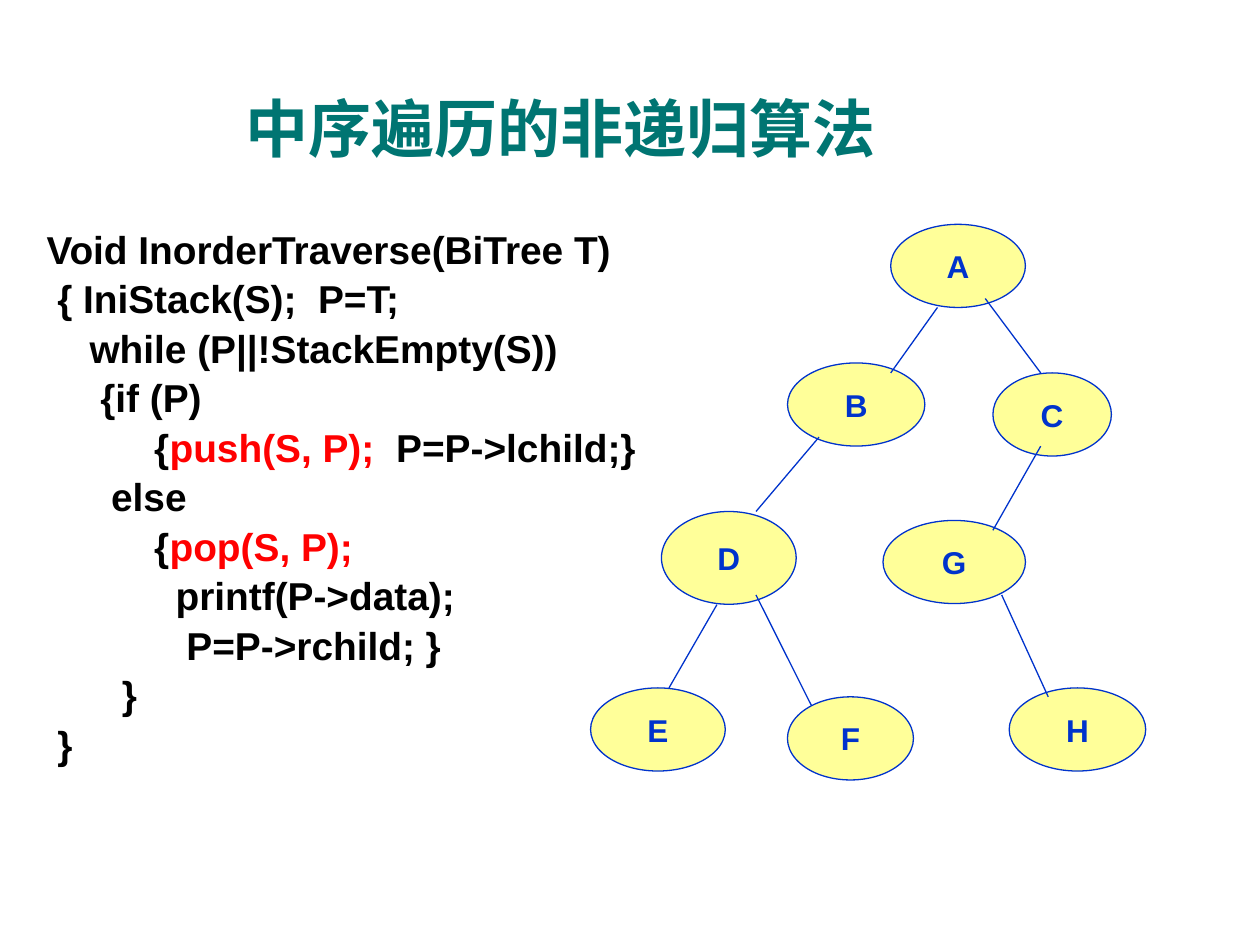
"""Builds the slide on non-recursive inorder traversal of a binary tree."""
from lxml import etree
from pptx import Presentation
from pptx.dml.color import RGBColor
from pptx.enum.shapes import MSO_CONNECTOR, MSO_SHAPE
from pptx.enum.text import MSO_ANCHOR, MSO_AUTO_SIZE, PP_ALIGN
from pptx.oxml.ns import qn
from pptx.util import Pt

ELLIPSE = MSO_SHAPE.OVAL
STRAIGHT = MSO_CONNECTOR.STRAIGHT
MIDDLE, TOP = MSO_ANCHOR.MIDDLE, MSO_ANCHOR.TOP
CENTER, LEFT = PP_ALIGN.CENTER, PP_ALIGN.LEFT
NO_AUTOFIT = MSO_AUTO_SIZE.NONE

TEAL = RGBColor(0x00, 0x75, 0x72)
BLACK = RGBColor(0x00, 0x00, 0x00)
RED = RGBColor(0xFF, 0x00, 0x00)
BLUE = RGBColor(0x00, 0x33, 0xCC)
YELLOW = RGBColor(0xFF, 0xFF, 0x99)

CODE = [
    [("Void InorderTraverse(BiTree T)", BLACK)],
    [(" { IniStack(S);  P=T;", BLACK)],
    [("    while (P||!StackEmpty(S))", BLACK)],
    [("     {if (P)", BLACK)],
    [("          {", BLACK), ("push(S, P);  ", RED), ("P=P->lchild;}", BLACK)],
    [("      else", BLACK)],
    [("          {", BLACK), ("pop(S, P);", RED)],
    [("            printf(P->data);", BLACK)],
    [("             P=P->rchild; }", BLACK)],
    [("       }", BLACK)],
    [(" }", BLACK)],
]

NODE_HEIGHT = 47.5
NODES = [
    ("B", 450, 207.4, 78.5, NODE_HEIGHT),
    ("H", 576.7, 393.1, 78, NODE_HEIGHT),
    ("A", 509, 128.2, 77, NODE_HEIGHT),
    ("C", 567.4, 213.1, 67.7, NODE_HEIGHT),
    ("D", 378, 292.3, 77, 53),
    ("E", 337.5, 393.1, 77, NODE_HEIGHT),
    ("F", 450, 398.2, 72, NODE_HEIGHT),
    ("G", 504.6, 297.4, 81.4, NODE_HEIGHT),
]

BRANCHES = [
    (535.7, 175.7, 509, 213.1),
    (563, 170.6, 594.7, 213.1),
    (468, 249.8, 432, 292.3),
    (594.7, 255, 567.4, 303),
    (409.7, 345.5, 382.3, 393.1),
    (432, 340, 463.7, 403.2),
    (572.4, 340, 599, 398.2),
]


class TreeSlide:
    """Holds the style and the current slide."""

    font_name = "Arial"
    line_width = Pt(0.75)

    def __init__(self, deck):
        self.slide = deck.slides.add_slide(deck.slide_layouts[5])
        self.shapes = self.slide.shapes

    def run(self, paragraph, text, size, color):
        run = paragraph.add_run()
        run.text = text
        run.font.name = self.font_name
        run.font.size = Pt(size)
        run.font.bold = True
        run.font.color.rgb = color

    def title(self, text, left, top, width, height):
        heading = self.shapes.title
        heading.left, heading.top = Pt(left), Pt(top)
        heading.width, heading.height = Pt(width), Pt(height)
        frame = heading.text_frame
        frame.auto_size = NO_AUTOFIT
        frame.vertical_anchor = MIDDLE
        paragraph = frame.paragraphs[0]
        paragraph.alignment = CENTER
        self.run(paragraph, text, 36, TEAL)

    def code(self, lines, left, top, width, height):
        listing = self.shapes.add_textbox(Pt(left), Pt(top), Pt(width), Pt(height))
        frame = listing.text_frame
        frame.word_wrap = True
        frame.vertical_anchor = TOP
        for index, line in enumerate(lines):
            paragraph = frame.add_paragraph() if index else frame.paragraphs[0]
            paragraph.alignment = LEFT
            paragraph.line_spacing = 0.9
            paragraph.space_before = Pt(4.3 if index else 0)
            properties = paragraph._p.get_or_add_pPr()
            properties.set("marL", str(Pt(27)))
            properties.set("indent", str(-Pt(27)))
            for text, color in line:
                self.run(paragraph, text, 22.2, color)

    def node(self, label, left, top, width, height):
        node = self.shapes.add_shape(ELLIPSE, Pt(left), Pt(top), Pt(width), Pt(height))
        node.shadow.inherit = False
        node.fill.solid()
        node.fill.fore_color.rgb = YELLOW
        node.line.color.rgb = BLUE
        node.line.width = self.line_width
        frame = node.text_frame
        frame.word_wrap = False
        frame.vertical_anchor = MIDDLE
        paragraph = frame.paragraphs[0]
        paragraph.alignment = CENTER
        self.run(paragraph, label, 18, BLUE)

    def branch(self, *ends):
        branch = self.shapes.add_connector(STRAIGHT, *map(Pt, ends))
        branch.line.color.rgb = BLUE
        branch.line.width = self.line_width
        etree.SubElement(branch._element.spPr, qn("a:effectLst"))


def main():
    deck = Presentation()
    deck.slide_width, deck.slide_height = Pt(720), Pt(540)
    page = TreeSlide(deck)
    page.title("中序遍历的非递归算法", 19.5, 49, 601, 47.5)
    page.code(CODE, 19.5, 128.2, 409.7, 306)
    for node in NODES:
        page.node(*node)
    for branch in BRANCHES:
        page.branch(*branch)
    deck.save("out.pptx")


if __name__ == "__main__":
    main()
